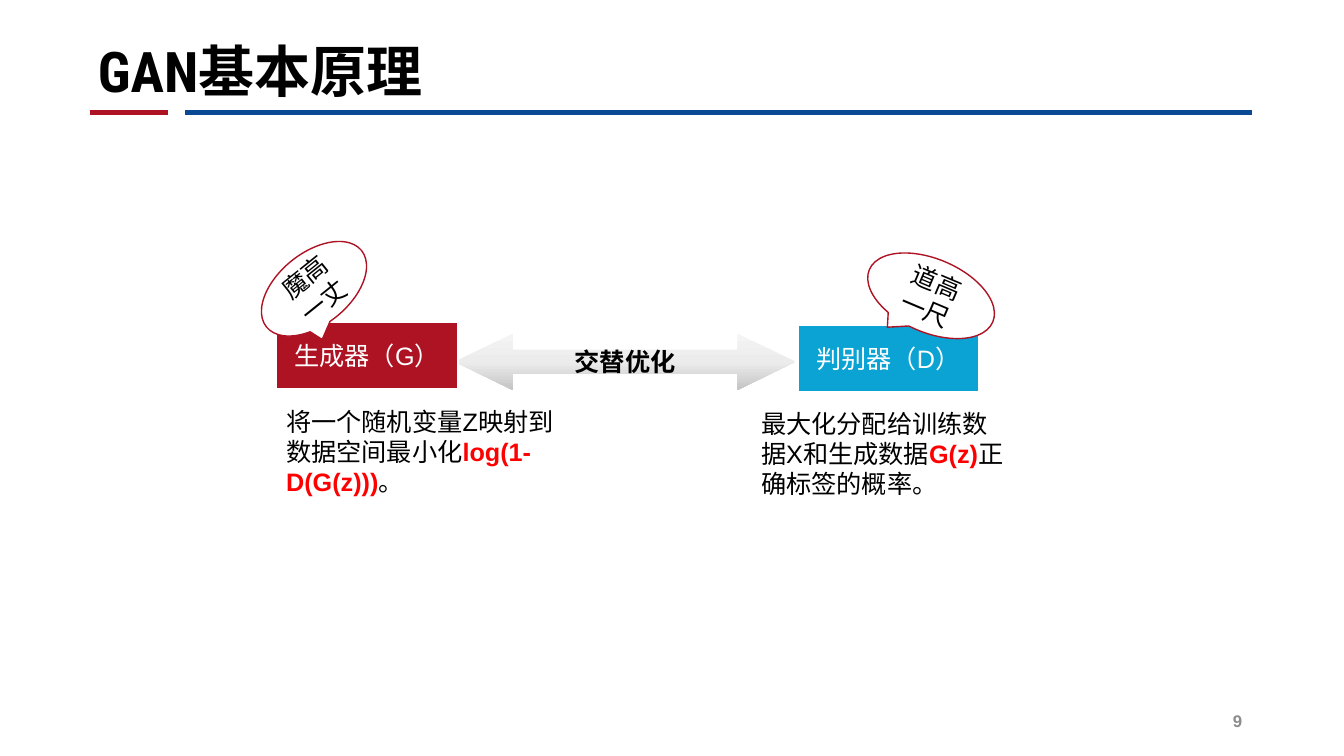
from copy import deepcopy
from dataclasses import dataclass

from lxml import etree
from pptx import Presentation
from pptx.dml.color import RGBColor
from pptx.enum import shapes, text
from pptx.oxml import ns
from pptx.util import Inches, Pt


@dataclass(frozen=True)
class Theme:
    red: str = "AE1324"
    blue: str = "0C4994"
    cyan: str = "0AA3D4"
    accent: str = "FF0000"
    ink: str = "000000"
    paper: str = "FFFFFF"
    muted: str = "8C8C8C"
    arrow_shades: tuple = ("F4F4F4", "ECECEC", "C4C4C4")
    title_font: str = "Roboto Condensed"
    body_font: str = "Arial"
    title_size: int = 40
    body_size: int = 18
    number_size: int = 12


THEME = Theme()
KIND = shapes.MSO_SHAPE
ALIGN = text.PP_ALIGN
ANCHOR = text.MSO_ANCHOR


def rgb(value):
    return RGBColor.from_string(value)


def style_span(span, color=THEME.ink, size=THEME.body_size, bold=False,
               font=THEME.body_font):
    span.font.name = font
    span.font.size = Pt(size)
    span.font.bold = bold
    span.font.color.rgb = rgb(color)


def write(shape, wording, align=ALIGN.LEFT, anchor=ANCHOR.MIDDLE, **style):
    frame = shape.text_frame
    frame.text = wording
    frame.word_wrap = True
    frame.auto_size = text.MSO_AUTO_SIZE.NONE
    frame.vertical_anchor = anchor
    para = frame.paragraphs[0]
    para.alignment = align
    style_span(para.runs[0], **style)


def add_figure(page, kind, box, wording, fill=None, line=None, width=1,
               **style):
    """Add a preset shape with centred text; box is in inches."""
    figure = page.shapes.add_shape(kind, *map(Inches, box))
    figure.shadow.inherit = False
    if fill:
        figure.fill.solid()
        figure.fill.fore_color.rgb = rgb(fill)
    if line:
        figure.line.color.rgb = rgb(line)
        figure.line.width = Pt(width)
    else:
        figure.line.fill.background()
    write(figure, wording, ALIGN.CENTER, **style)
    return figure


def add_header(page, box, wording):
    left, top, width, height = box

    # Two-colour rule under the title
    rule_y = Inches(top + 1.12)
    for start, end, color in ((0.02, 0.8, THEME.red),
                              (0.97, width, THEME.blue)):
        rule = page.shapes.add_connector(
            shapes.MSO_CONNECTOR.STRAIGHT, Inches(left + start), rule_y,
            Inches(left + end), rule_y)
        rule.line.color.rgb = rgb(color)
        rule.line.width = Pt(3.5)
        etree.SubElement(rule._element.spPr, ns.qn("a:effectLst"))

    # Title
    title = page.shapes.title
    title.left, title.top = Inches(left), Inches(top)
    title.width, title.height = Inches(8.92), Inches(height)
    write(title, wording, anchor=ANCHOR.BOTTOM, size=THEME.title_size,
          bold=True, font=THEME.title_font)


def add_player(page, box, name, fill, note_box, note, motto_box, motto, turn):
    """Add one network; note and motto boxes are offset from its box."""
    left, top = box[:2]

    def place(offset):
        return left + offset[0], top + offset[1], offset[2], offset[3]

    # Network name
    add_figure(page, KIND.FLOWCHART_PROCESS, box, name, fill, THEME.paper,
               1.5, color=THEME.paper)

    # Objective, with its formula emphasised
    goal = page.shapes.add_textbox(*map(Inches, place(note_box)))
    before, formula, after = note
    write(goal, before, anchor=ANCHOR.TOP)
    para = goal.text_frame.paragraphs[0]
    for wording, color, bold in ((formula, THEME.accent, True),
                                 (after, THEME.ink, False)):
        span = para.add_run()
        span.text = wording
        style_span(span, color, bold=bold)

    # Speech bubble
    bubble = add_figure(page, KIND.OVAL_CALLOUT, place(motto_box), motto,
                        THEME.paper, THEME.red)
    bubble.rotation = turn


def add_exchange(page, box, wording):
    arrow = add_figure(page, KIND.LEFT_RIGHT_ARROW, box, wording, bold=True)
    arrow.adjustments[0] = 0.426
    arrow.adjustments[1] = 1.031

    # Three-stop gradient from top to bottom
    arrow.fill.gradient()
    arrow.fill.gradient_angle = 270
    stop_list = arrow._element.spPr.find(".//" + ns.qn("a:gsLst"))
    stop_list.append(deepcopy(stop_list[-1]))
    for index, (stop, shade) in enumerate(
            zip(arrow.fill.gradient_stops, THEME.arrow_shades)):
        stop.position = index / 2
        stop.color.rgb = rgb(shade)


def add_page_number(page, box, number):
    label = page.shapes.add_textbox(*map(Inches, box))
    write(label, number, ALIGN.RIGHT, color=THEME.muted,
          size=THEME.number_size, bold=True)


def main():
    deck = Presentation()
    deck.slide_width, deck.slide_height = Inches(13.33), Inches(7.5)
    page = deck.slides.add_slide(deck.slide_layouts.get_by_name("Title Only"))

    add_header(page, (0.87, 0, 11.55, 1.08), "GAN基本原理")
    add_page_number(page, (9.42, 6.95, 3, 0.4), "9")
    add_exchange(page, (4.51, 3.31, 3.38, 0.56), "交替优化")
    add_player(page, (2.74, 3.19, 1.8, 0.67), "生成器（G）", THEME.red,
               (0, 0.79, 2.87, 1.01),
               ("将一个随机变量Z映射到数据空间最小化", "log(1-D(G(z)))", "。"),
               (-0.23, -0.68, 1.21, 0.71), "魔高一丈", 321.2)
    add_player(page, (7.91, 3.22, 1.8, 0.67), "判别器（D）", THEME.cyan,
               (-0.46, 0.78, 2.63, 1.01),
               ("最大化分配给训练数据X和生成数据", "G(z)", "正确标签的概率。"),
               (0.66, -0.65, 1.33, 0.73), "道高一尺", 23)

    deck.save("out.pptx")


if __name__ == "__main__":
    main()
